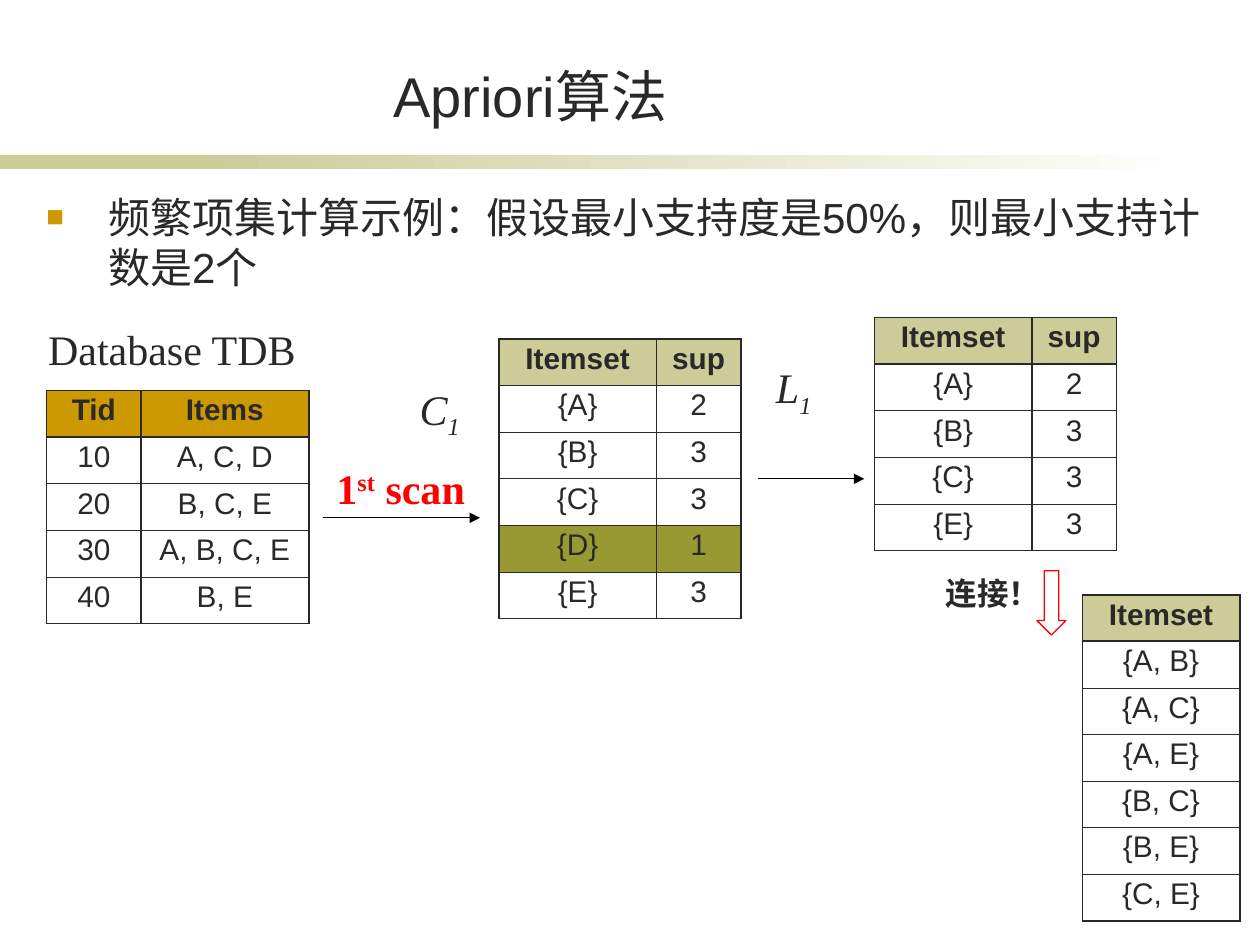
import pptx
import pptx.util
import pptx.dml.color
import pptx.enum.shapes
import pptx.enum.text
import pptx.oxml
import pptx.oxml.ns
from pptx.util import Inches, Pt

INK, RED, BLACK, WHITE = "292929", "FF0000", "000000", "FFFFFF"
GOLD, SAND, OLIVE = "CC9900", "CCCC99", "999933"
CENTER = pptx.enum.text.PP_ALIGN.CENTER
MIDDLE = pptx.enum.text.MSO_ANCHOR.MIDDLE
SHAPES = pptx.enum.shapes.MSO_SHAPE

# Content
TITLE = "Apriori算法"
BODY = "频繁项集计算示例：假设最小支持度是50%，则最小支持计数是2个"

# Label: position and size, wrap, font size, colour, style, (text, baseline in percent)
LABELS = [
    ((0.28, 2.52, 2.17, 0.5), False, 24, INK, "", [("Database TDB", 0)]),
    ((2.57, 3.62, 1.22, 0.5), False, 24, RED, "bold", [("1", 0), ("st", 30), (" scan", 0)]),
    ((3.23, 2.99, 0.52, 0.56), False, 24, INK, "italic", [("C", 0), ("1", -25)]),
    ((6.06, 2.82, 0.48, 0.56), False, 24, INK, "italic", [("L", 0), ("1", -25)]),
    ((7.37, 4.51, 1.02, 0.4), True, 18, INK, "bold", [("连接！", 0)]),
]

# Table: left, top, column widths, header fill, highlighted row, rows
ROW_HEIGHT = 0.37
TABLES = [
    (0.37, 3.1, (0.75, 1.33), GOLD, None,
     [("Tid", "Items"), ("10", "A, C, D"), ("20", "B, C, E"),
      ("30", "A, B, C, E"), ("40", "B, E")]),
    (3.96, 2.69, (1.25, 0.67), SAND, 4,
     [("Itemset", "sup"), ("{A}", "2"), ("{B}", "3"), ("{C}", "3"),
      ("{D}", "1"), ("{E}", "3")]),
    (6.94, 2.52, (1.25, 0.67), SAND, None,
     [("Itemset", "sup"), ("{A}", "2"), ("{B}", "3"), ("{C}", "3"), ("{E}", "3")]),
    (8.59, 4.72, (1.25,), SAND, None,
     [("Itemset",), ("{A, B}",), ("{A, C}",), ("{A, E}",),
      ("{B, C}",), ("{B, E}",), ("{C, E}",)]),
]

# Arrow: left, right, height on the slide
ARROWS = [(2.56, 3.81, 4.11), (6.02, 6.86, 3.8)]


def rgb(colour):
    return pptx.dml.color.RGBColor.from_string(colour)


def element(xml):
    return pptx.oxml.parse_xml(xml.replace(" ", f' {pptx.oxml.ns.nsdecls("a")} ', 1))


def style(font, size, colour, name="Arial", bold=False, italic=False):
    font.size, font.name = Pt(size), name
    font.bold, font.italic = bold, italic
    font.color.rgb = rgb(colour)


def add_shape(slide, kind, place, fill, line=None):
    shape = slide.shapes.add_shape(kind, *map(Inches, place))
    shape.shadow.inherit = False
    shape.fill.solid()
    shape.fill.fore_color.rgb = rgb(fill)
    if line:
        shape.line.color.rgb = rgb(line)
        shape.line.width = Pt(0.75)
    else:
        shape.line.fill.background()
    return shape


def add_band(slide):
    add_shape(slide, SHAPES.RECTANGLE, (0, 1.23, 2.33, 0.11), SAND)
    fade = add_shape(slide, SHAPES.RECTANGLE, (1.58, 1.23, 7.92, 0.11), SAND)
    fade.fill.gradient()
    fade.fill.gradient_angle = 0
    for stop, colour in zip(fade.fill.gradient_stops, (SAND, WHITE)):
        stop.color.rgb = rgb(colour)


def add_title(slide):
    title = slide.shapes.title
    title.left, title.top, title.width, title.height = map(Inches, (1.14, 0.44, 6.14, 0.63))
    frame = title.text_frame
    frame.text = TITLE
    frame.auto_size = pptx.enum.text.MSO_AUTO_SIZE.NONE
    frame.vertical_anchor = pptx.enum.text.MSO_ANCHOR.BOTTOM
    frame.paragraphs[0].alignment = CENTER
    style(frame.paragraphs[0].runs[0].font, 32, INK)


def add_body(slide):
    frame = slide.shapes.add_textbox(*map(Inches, (0.27, 1.47, 9.37, 5.12))).text_frame
    frame.word_wrap = True
    para = frame.paragraphs[0]
    para.text = BODY
    properties = para._p.get_or_add_pPr()
    properties.set("marL", str(Inches(0.49)))
    properties.set("indent", str(-Inches(0.49)))
    for xml in (f'<a:buClr ><a:srgbClr val="{GOLD}"/></a:buClr>',
                '<a:buSzPct val="70000"/>', '<a:buFont typeface="Arial"/>',
                '<a:buChar char="■"/>'):
        properties.append(element(xml))
    style(para.runs[0].font, 24, INK)


def add_label(slide, place, wrap, size, colour, look, pieces):
    frame = slide.shapes.add_textbox(*map(Inches, place)).text_frame
    frame.word_wrap = wrap
    frame.auto_size = pptx.enum.text.MSO_AUTO_SIZE.SHAPE_TO_FIT_TEXT
    frame.vertical_anchor = MIDDLE
    para = frame.paragraphs[0]
    para.alignment = CENTER
    for text, baseline in pieces:
        span = para.add_run()
        span.text = text
        style(span.font, size, colour, "Times New Roman", look == "bold", look == "italic")
        if baseline:
            span._r.get_or_add_rPr().set("baseline", str(baseline * 1000))


def set_borders(cell, widths):
    properties = cell._tc.get_or_add_tcPr()
    for index, (side, width) in enumerate(zip("LRTB", widths)):
        properties.insert(index, element(
            f'<a:ln{side} w="{Pt(width)}"><a:solidFill><a:srgbClr val="{INK}"/>'
            f'</a:solidFill></a:ln{side}>'))


def add_table(slide, left, top, columns, header_fill, highlight, rows):
    size = (sum(columns), ROW_HEIGHT * len(rows))
    table = slide.shapes.add_table(
        len(rows), len(columns), *map(Inches, (left, top, *size))).table
    table.horz_banding = False
    for column, width in zip(table.columns, columns):
        column.width = Inches(width)
    for r, row in enumerate(rows):
        table.rows[r].height = Inches(ROW_HEIGHT)
        fill = {0: header_fill, highlight: OLIVE}.get(r)
        upper = 1.08 if r <= 1 else 0.45
        lower = 1.08 if r in (0, len(rows) - 1) else 0.45
        for c, text in enumerate(row):
            cell = table.cell(r, c)
            if fill:
                cell.fill.solid()
                cell.fill.fore_color.rgb = rgb(fill)
            else:
                cell.fill.background()
            set_borders(cell, (1.08, 1.08, upper, lower))
            para = cell.text_frame.paragraphs[0]
            para.text = text
            para.alignment = CENTER
            para.line_spacing = 0.9
            style(para.runs[0].font, 17, INK, bold=r == 0)


def add_arrow(slide, start, end, height):
    arrow = slide.shapes.add_connector(
        pptx.enum.shapes.MSO_CONNECTOR.STRAIGHT, *map(Inches, (start, height, end, height)))
    arrow.line.color.rgb = rgb(BLACK)
    arrow.line.width = Pt(0.75)
    arrow.line._get_or_add_ln().append(element('<a:tailEnd type="triangle"/>'))
    arrow._element.spPr.append(element("<a:effectLst />"))


def main():
    deck = pptx.Presentation()
    deck.slide_width, deck.slide_height = Inches(10), Inches(7.5)
    slide = deck.slides.add_slide(deck.slide_layouts[5])

    # Heading and statement
    add_band(slide)
    add_title(slide)
    add_body(slide)

    # Steps of the algorithm
    for label in LABELS:
        add_label(slide, *label)
    for arrow in ARROWS:
        add_arrow(slide, *arrow)
    for table in TABLES:
        add_table(slide, *table)
    add_shape(slide, SHAPES.DOWN_ARROW, (8.23, 4.53, 0.23, 0.51), WHITE, RED)

    deck.save("out.pptx")


if __name__ == "__main__":
    main()
